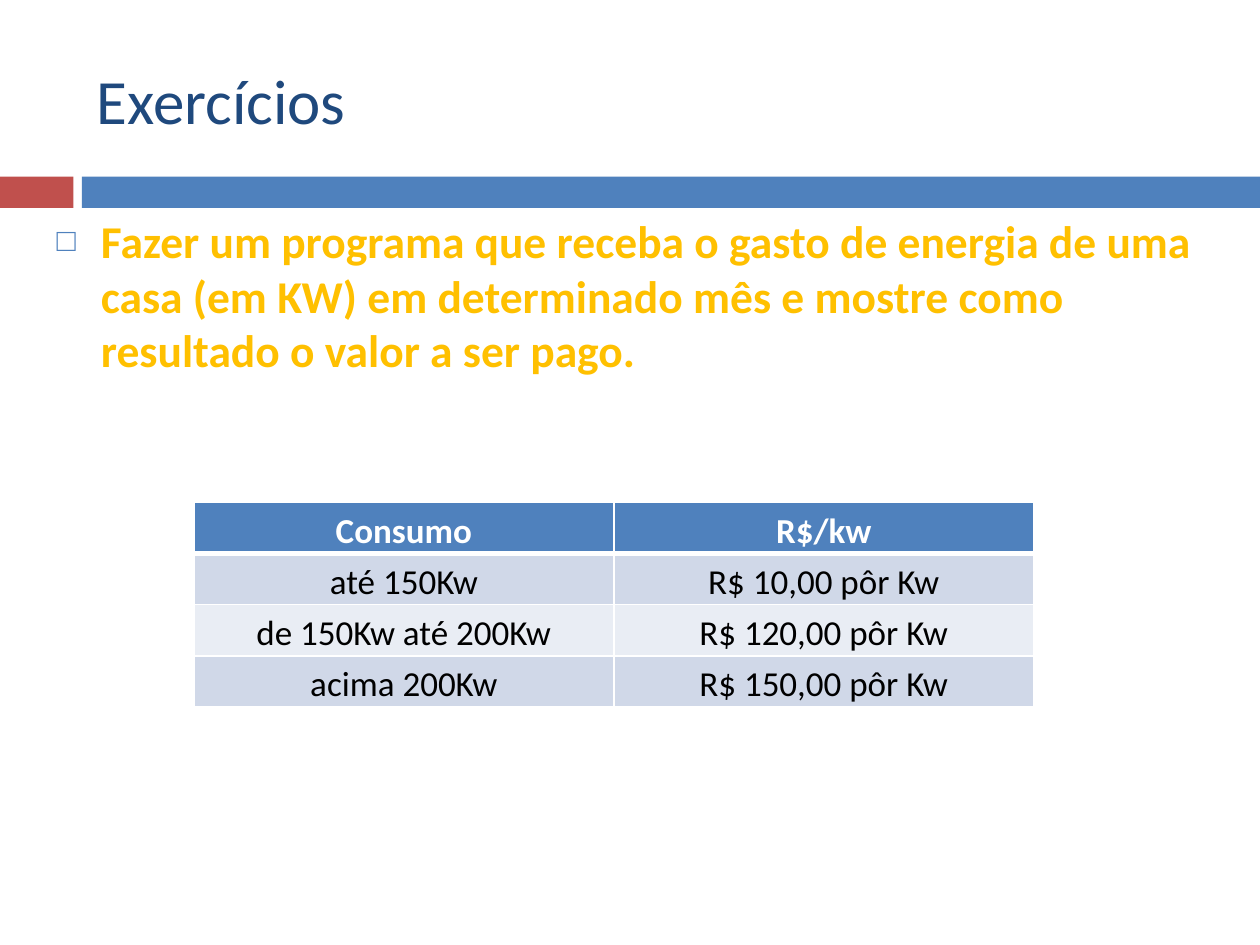
from lxml import etree
from pptx import Presentation
from pptx import util as u
from pptx.dml.color import RGBColor
from pptx.enum import shapes, text
from pptx.oxml import ns

WIDTH, HEIGHT = 25.4, 19.05
NAVY, BLUE, RED, AMBER = "1F497D", "4F81BD", "C0504D", "FFC000"
WHITE, BLACK, BAND_DARK, BAND_LIGHT = "FFFFFF", "000000", "D0D8E8", "E9EDF4"
TARIFFS = [
    ("Consumo", "R$/kw"),
    ("até 150Kw", "R$ 10,00 pôr Kw"),
    ("de 150Kw até 200Kw", "R$ 120,00 pôr Kw"),
    ("acima 200Kw", "R$ 150,00 pôr Kw"),
]


def paint(color_format, value):
    """Give a fill or a font the colour of a hex string."""
    if hasattr(color_format, "solid"):
        color_format.solid()
        color_format.fore_color.rgb = RGBColor.from_string(value)
    else:
        color_format.color.rgb = RGBColor.from_string(value)


def write(frame, words, size, color, bold=False, align=text.PP_ALIGN.LEFT,
          anchor=text.MSO_ANCHOR.MIDDLE, level=0, before=0, spacing=1.0):
    """Write one formatted paragraph in a text frame and return it."""
    frame.word_wrap = True
    frame.vertical_anchor = anchor
    paragraph = frame.paragraphs[0]
    paragraph.alignment, paragraph.level = align, level
    paragraph.space_before, paragraph.line_spacing = u.Pt(before), spacing
    run = paragraph.add_run()
    run.text = words
    run.font.name, run.font.size, run.font.bold = "Calibri", u.Pt(size), bold
    paint(run.font, color)
    return paragraph


def place(shape, left, top, width, height):
    """Move a shape to a box given in centimetres."""
    shape.left, shape.top = u.Cm(left), u.Cm(top)
    shape.width, shape.height = u.Cm(width), u.Cm(height)


def add_child(parent, tag, **attributes):
    """Append a DrawingML element to a parent."""
    return etree.SubElement(parent, ns.qn(tag), attributes)


def add_title(slide, left, top, width, height):
    """Fill the title placeholder."""
    title = slide.shapes.title
    place(title, left, top, width, height)
    title.text_frame.auto_size = text.MSO_AUTO_SIZE.NONE
    write(title.text_frame, "Exercícios", 36, NAVY)


def add_divider(slide, left, top, width, height):
    """Draw the red and blue bars with a gap between them."""
    red_width, blue_offset = 1.48, 1.65
    for offset, length, color in ((0, red_width, RED),
                                  (blue_offset, width - blue_offset, BLUE)):
        bar = slide.shapes.add_shape(
            shapes.MSO_SHAPE.RECTANGLE, u.Cm(left + offset), u.Cm(top),
            u.Cm(length), u.Cm(height))
        bar.shadow.inherit = False
        paint(bar.fill, color)
        bar.line.fill.background()


def add_exercise(slide, left, top, width, height):
    """Fill the body placeholder with the bulleted exercise."""
    body = slide.placeholders[1]
    place(body, left, top, width, height)
    body.text_frame.auto_size = text.MSO_AUTO_SIZE.NONE
    exercise = write(
        body.text_frame,
        "Fazer um programa que receba o gasto de energia de uma casa (em KW) "
        "em determinado mês e mostre como resultado o valor a ser pago.",
        26, AMBER, bold=True, anchor=text.MSO_ANCHOR.TOP, level=1, before=5.5)
    properties = exercise._p.get_or_add_pPr()
    properties.set("marL", str(u.Cm(1.78)))
    properties.set("indent", str(u.Cm(-0.89)))
    add_child(add_child(properties, "a:buClr"), "a:srgbClr", val=BLUE)
    add_child(properties, "a:buSzPct", val="70000")
    add_child(properties, "a:buChar", char="□")


def add_borders(cell, bottom):
    """Outline a cell in white, with the bottom width in points."""
    properties = cell._tc.get_or_add_tcPr()
    sides = (("a:lnL", 1), ("a:lnR", 1), ("a:lnT", 1), ("a:lnB", bottom))
    for position, (tag, points) in enumerate(sides):
        border = add_child(properties, tag, w=str(u.Pt(points)))
        add_child(add_child(border, "a:solidFill"), "a:srgbClr", val=WHITE)
        properties.insert(position, border)


def add_tariffs(slide, left, top, width, height):
    """Add the table of prices by consumption."""
    table = slide.shapes.add_table(
        len(TARIFFS), len(TARIFFS[0]), u.Cm(left), u.Cm(top),
        u.Cm(width), u.Cm(height)).table
    for row, entries in enumerate(TARIFFS):
        header = row == 0
        band = BLUE if header else BAND_DARK if row % 2 else BAND_LIGHT
        for column, entry in enumerate(entries):
            cell = table.cell(row, column)
            cell.margin_left = cell.margin_right = u.Cm(0.18)
            cell.margin_top = cell.margin_bottom = 0
            cell.vertical_anchor = text.MSO_ANCHOR.MIDDLE
            paint(cell.fill, band)
            add_borders(cell, 3 if header else 1)
            write(cell.text_frame, entry, 20, WHITE if header else BLACK,
                  bold=header, align=text.PP_ALIGN.CENTER, spacing=1.15)


def main():
    """Build and save the slide."""
    deck = Presentation()
    deck.slide_width, deck.slide_height = u.Cm(WIDTH), u.Cm(HEIGHT)
    slide = deck.slides.add_slide(deck.slide_layouts[1])
    add_divider(slide, 0, 3.56, WIDTH, 0.63)
    add_title(slide, 1.7, 0.63, 24.36, 2.74)
    add_exercise(slide, 0, 4.17, WIDTH, HEIGHT - 4.17)
    add_tariffs(slide, 3.91, 10.13, 16.93, 4.12)
    deck.save("out.pptx")


if __name__ == "__main__":
    main()
